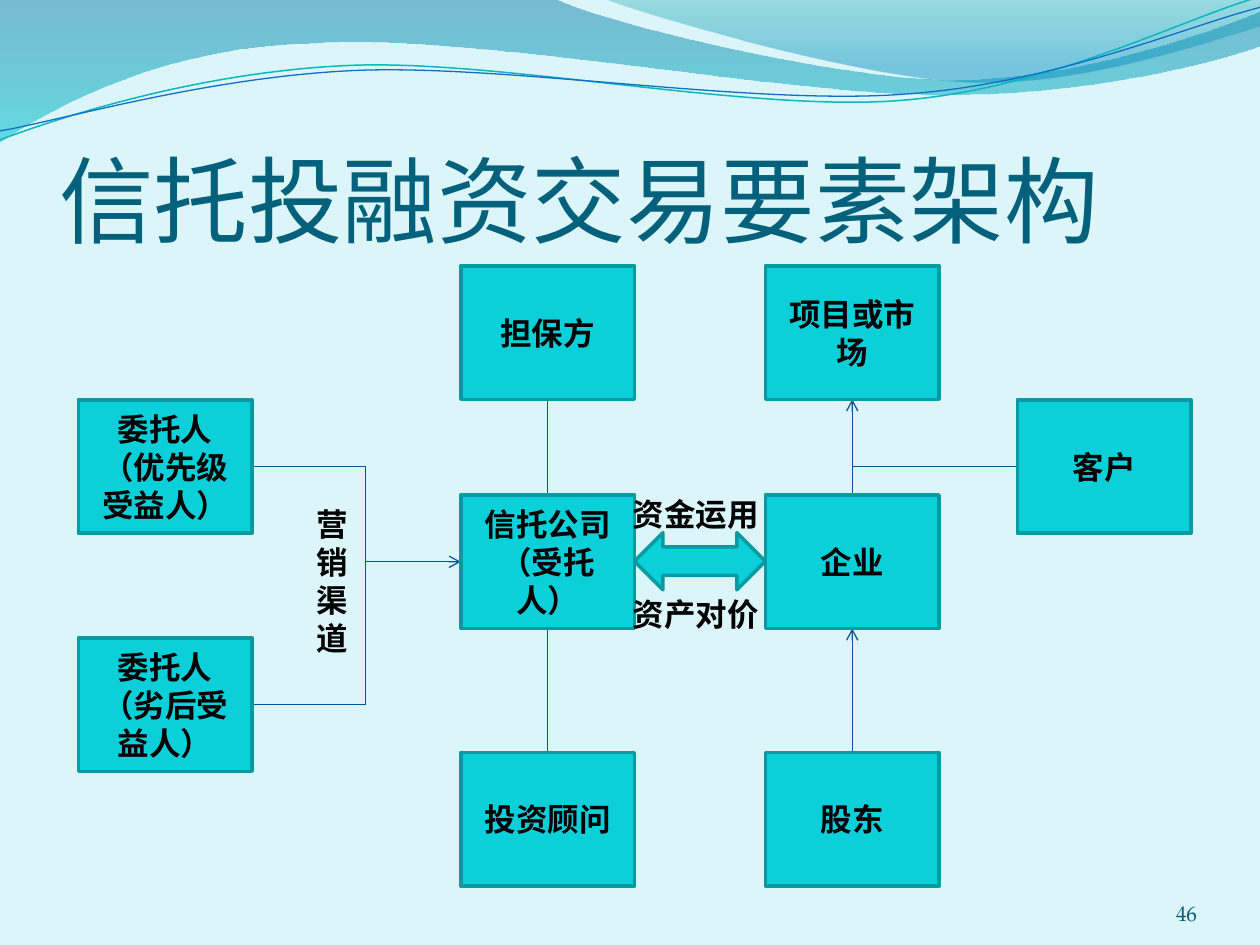
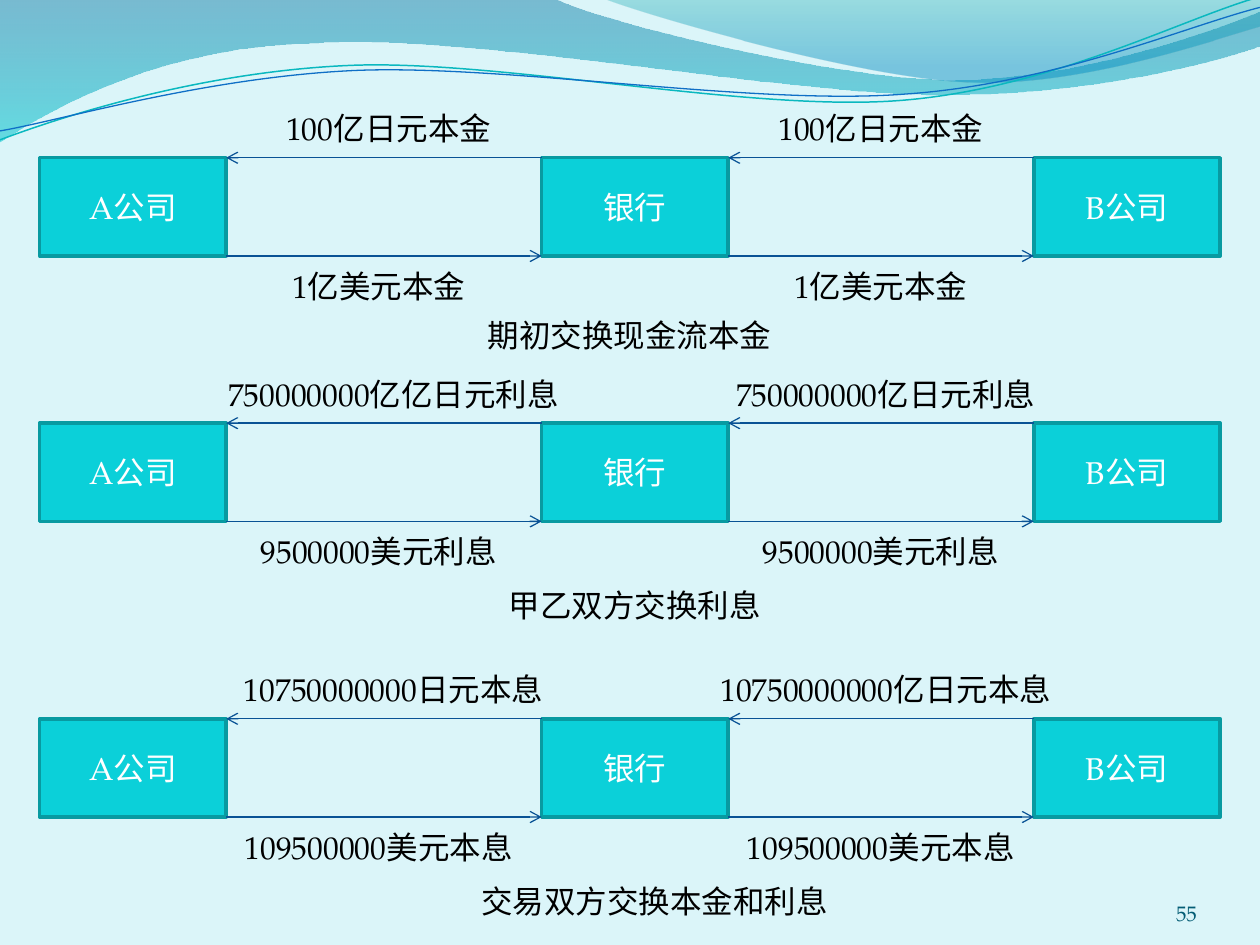
from dataclasses import dataclass
from typing import Optional

from lxml.etree import SubElement
from pptx import Presentation
from pptx.dml.color import RGBColor
from pptx.enum.lang import MSO_LANGUAGE_ID as Lang
from pptx.enum.shapes import MSO_CONNECTOR as Connector, MSO_SHAPE as Shape
from pptx.enum.text import MSO_ANCHOR as Anchor, PP_ALIGN as Align
from pptx.oxml.ns import qn
from pptx.util import Cm, Pt

COLORS = {
    "background": "DBF5F9",
    "title": "04617B",
    "page": "045D75",
    "box": "0BD0D9",
    "border": "089AA1",
    "link": "095295",
    "text": "000000",
    "white": "FFFFFF",
    "teal": "0AB8BF",
    "blue": "0F6FC6",
    "deep_blue": "0074A1",
    "aqua": "00C6CF",
    "deep_teal": "00A1A9",
    "sky": "008BBF",
}
BODY_FONT = "TeX Gyre Pagella"
CJK_FONT = "Noto Sans CJK SC"
DIAGRAM_TEXT = dict(font=CJK_FONT, bold=True, spacing=21.7)

Point = tuple[float, float]


@dataclass(frozen=True)
class Stop:
    position: float
    color: str
    opacity: int


@dataclass(frozen=True)
class Wave:
    start: Point
    segments: tuple[tuple[Point, ...], ...]
    stops: tuple[Stop, ...] = ()
    line_color: str = ""
    line_width: float = 0


@dataclass(frozen=True)
class Box:
    left: float
    top: float
    width: float
    height: float

    @property
    def right(self) -> float:
        return self.left + self.width

    @property
    def bottom(self) -> float:
        return self.top + self.height

    @property
    def mid_x(self) -> float:
        return self.left + self.width / 2

    @property
    def mid_y(self) -> float:
        return self.top + self.height / 2


@dataclass(frozen=True)
class Flow:
    received: str
    paid: str
    received_left: float
    received_width: float


@dataclass(frozen=True)
class Stage:
    top: float
    flows: tuple[Flow, Flow]
    caption: str
    caption_area: Box


WAVES = (
    Wave((0, 0), (
        ((11.18, -0.03),),
        ((12.09, 0.43), (16.87, 1.6), (19.25, 1.6)),
        ((21.67, 1.6), (24.33, 0.66), (25.4, 0.23)),
        ((25.43, 0.91),),
        ((24.97, 1.12), (22.1, 1.93), (18.95, 1.91)),
        ((15.8, 1.91), (9.7, 0.71), (6.53, 0.86)),
        ((3.28, 0.91), (1.17, 2.11), (-0.03, 2.87)),
        ((0, 0),),
    ), stops=(Stop(0, "deep_blue", 45), Stop(1, "aqua", 55))),
    Wave((12.17, -0.03), (
        ((12.93, 0.28), (17.32, 1.57), (19.53, 1.65)),
        ((21.74, 1.75), (24.41, 0.81), (25.4, 0.53)),
        ((25.4, 0),),
        ((12.17, -0.03),),
    ), stops=(Stop(0, "deep_teal", 30), Stop(0.8, "sky", 45))),
    Wave((0, 2.82), (
        ((1.22, 2.36), (4.01, 1.45), (7.04, 1.32)),
        ((10.03, 1.19), (15.06, 2.26), (18.11, 2.03)),
        ((21.16, 1.8), (23.83, 0.38), (25.35, -0.05)),
    ), line_color="teal", line_width=0.85),
    Wave((0, 2.64), (
        ((1.19, 2.44), (4.17, 1.55), (7.19, 1.42)),
        ((10.24, 1.3), (15.16, 2.13), (18.21, 1.9)),
        ((21.23, 1.7), (23.9, 0.53), (25.4, 0.15)),
    ), line_color="blue", line_width=0.75),
)

STAGES = (
    Stage(3.18, (Flow("100亿日元本金", "1亿美元本金", 4.76, 6.15),
                 Flow("100亿日元本金", "1亿美元本金", 14.68, 6.15)),
          "期初交换现金流本金", Box(7.54, 5.95, 10.31, 1.6)),
    Stage(8.53, (Flow("750000000亿亿日元利息", "9500000美元利息", 3.77, 8.33),
                 Flow("750000000亿日元利息", "9500000美元利息", 13.88, 7.95)),
          "甲乙双方交换利息", Box(9.13, 11.3, 7.34, 1.78)),
    Stage(14.49, (Flow("10750000000日元本息", "109500000美元本息", 3.77, 8.33),
                  Flow("10750000000亿日元本息", "109500000美元本息", 13.88, 7.95)),
          "交易双方交换本金和利息", Box(8.93, 17.27, 8.53, 1.78)),
)


def rgb(name: str) -> RGBColor:
    return RGBColor.from_string(COLORS[name])


def write(frame, text: str, *, size: float = 18, font: str = BODY_FONT,
          color: str = "text", bold: bool = False, align=Align.CENTER,
          anchor=Anchor.MIDDLE, spacing: Optional[float] = None) -> None:
    frame.word_wrap = True
    frame.vertical_anchor = anchor
    paragraph = frame.paragraphs[0]
    paragraph.alignment = align
    if spacing:
        paragraph.line_spacing = Pt(spacing)
    run = paragraph.add_run()
    run.text = text
    run.font.size, run.font.bold, run.font.name = Pt(size), bold, font
    run.font.color.rgb = rgb(color)
    run.font.language_id = Lang.SIMPLIFIED_CHINESE
    SubElement(run.font._element, qn("a:ea"), typeface=CJK_FONT)


def add_label(slide, area: Box, text: str, **text_format) -> None:
    frame = slide.shapes.add_textbox(
        Cm(area.left), Cm(area.top), Cm(area.width), Cm(area.height)).text_frame
    frame.margin_left = frame.margin_right = frame.margin_top = frame.margin_bottom = 0
    write(frame, text, **text_format)


def add_box(slide, area: Box, text: str = "", kind=Shape.RECTANGLE, **text_format) -> None:
    box = slide.shapes.add_shape(
        kind, Cm(area.left), Cm(area.top), Cm(area.width), Cm(area.height))
    box.shadow.inherit = False
    box.fill.solid()
    box.fill.fore_color.rgb = rgb("box")
    box.line.color.rgb = rgb("border")
    box.line.width = Pt(2)
    if text:
        write(box.text_frame, text, **text_format)


def add_link(slide, start: Point, end: Point, arrow: bool = False) -> None:
    link = slide.shapes.add_connector(
        Connector.STRAIGHT, *(Cm(value) for value in start + end))
    link.line.color.rgb = rgb("link")
    link.line.width = Pt(0.75)
    properties = link.element.spPr
    if arrow:
        SubElement(properties.find(qn("a:ln")), qn("a:tailEnd"), type="arrow")
    SubElement(properties, qn("a:effectLst"))


def bend(ribbon, wave: Wave) -> None:
    strokes = list(ribbon.element.spPr.iter(qn("a:lnTo")))
    for stroke, segment in zip(strokes, wave.segments):
        if len(segment) == 3:
            curve = stroke.makeelement(qn("a:cubicBezTo"))
            for x, y in segment:
                SubElement(curve, qn("a:pt"), x=str(Cm(x) - ribbon.left),
                           y=str(Cm(y) - ribbon.top))
            stroke.getparent().replace(stroke, curve)


def add_wave(slide, wave: Wave):
    ends = [(Cm(x), Cm(y)) for x, y in (segment[-1] for segment in wave.segments)]
    builder = slide.shapes.build_freeform(Cm(wave.start[0]), Cm(wave.start[1]))
    builder.add_line_segments(ends, close=bool(wave.stops))
    ribbon = builder.convert_to_shape()
    bend(ribbon, wave)
    ribbon.shadow.inherit = False
    if not wave.stops:
        ribbon.fill.background()
        ribbon.line.color.rgb = rgb(wave.line_color)
        ribbon.line.width = Pt(wave.line_width)
        return ribbon
    ribbon.line.fill.background()
    ribbon.fill.gradient()
    ribbon.fill.gradient_angle = 270
    for target, stop in zip(ribbon.fill.gradient_stops, wave.stops):
        target.position = stop.position
        target.color.rgb = rgb(stop.color)
    for shade, stop in zip(ribbon.element.spPr.iter(qn("a:srgbClr")), wave.stops):
        SubElement(shade, qn("a:alpha"), val=str(stop.opacity * 1000))
    return ribbon


def decorate_master(deck, slide) -> None:
    master = deck.slide_master
    master.background.fill.solid()
    master.background.fill.fore_color.rgb = rgb("background")
    for number, wave in enumerate(WAVES, start=101):
        ribbon = add_wave(slide, wave).element
        ribbon.nvSpPr.cNvPr.set("id", str(number))
        master.shapes.element.append(ribbon)


def add_page_number(slide, page: int) -> None:
    add_label(slide, Box(22.02, 17.65, 2.11, 1.02), str(page), size=12,
              color="page", align=Align.RIGHT, anchor=Anchor.BOTTOM)


def fill_structure(slide) -> None:
    add_label(slide, Box(1.2, 1.97, 22.86, 3.18), "信托投融资交易要素架构", size=54,
              font="Calibri", color="title", align=Align.LEFT, anchor=Anchor.BOTTOM)
    add_page_number(slide, 46)

    def party(left: float, top: float) -> Box:
        return Box(left, top, 3.5, 2.69)

    trust_x, company_x = 9.29, 15.43
    top_y, middle_y, bottom_y = 5.36, 9.98, 15.17
    senior, junior = party(1.58, 8.06), party(1.58, 12.86)
    guarantor, trust, adviser = (party(trust_x, y) for y in (top_y, middle_y, bottom_y))
    project, company, owner = (party(company_x, y) for y in (top_y, middle_y, bottom_y))
    client = party(20.51, 8.06)
    channel_x = 7.37

    for investor in (senior, junior):
        add_link(slide, (investor.right, investor.mid_y), (channel_x, investor.mid_y))
    add_link(slide, (channel_x, senior.mid_y), (channel_x, junior.mid_y))
    add_link(slide, (channel_x, trust.mid_y), (trust.left, trust.mid_y), arrow=True)
    for upper, lower in ((guarantor, trust), (trust, adviser)):
        add_link(slide, (upper.mid_x, upper.bottom), (lower.mid_x, lower.top))
    for lower, upper in ((company, project), (owner, company)):
        add_link(slide, (lower.mid_x, lower.top), (upper.mid_x, upper.bottom), arrow=True)
    add_link(slide, (company.mid_x, client.mid_y), (client.left, client.mid_y))

    add_box(slide, Box(trust.right, 10.74, company.left - trust.right, 1.15),
            kind=Shape.LEFT_RIGHT_ARROW)
    for area, name in (
        (guarantor, "担保方"), (project, "项目或市场"),
        (senior, "委托人（优先级受益人）"), (junior, "委托人（劣后受益人）"),
        (trust, "信托公司（受托人）"), (adviser, "投资顾问"),
        (owner, "股东"), (company, "企业"), (client, "客户"),
    ):
        add_box(slide, area, name, Shape.FLOWCHART_PROCESS, **DIAGRAM_TEXT)
    for area, name in (
        (Box(6.18, 10.17, 1.04, 3.07), "营销渠道"),
        (Box(12.28, 9.78, 3.5, 1.14), "资金运用"),
        (Box(12.45, 11.5, 3.15, 1.73), "资产对价"),
    ):
        add_label(slide, area, name, **DIAGRAM_TEXT)


def add_stage(slide, stage: Stage) -> None:
    parties = [Box(left, stage.top, 3.76, 1.98) for left in (0.8, 10.92, 20.84)]
    for area, name in zip(parties, ("A公司", "银行", "B公司")):
        add_box(slide, area, name, color="white")
    label_height = 1.19
    for left, right, flow in zip(parties, parties[1:], stage.flows):
        add_link(slide, (right.left, left.top), (left.right, left.top), arrow=True)
        add_link(slide, (left.right, left.bottom), (right.left, left.bottom), arrow=True)
        add_label(slide, Box(flow.received_left, left.top - label_height,
                             flow.received_width, label_height), flow.received)
        add_label(slide, Box(left.right, left.bottom, 6.15, label_height), flow.paid)
    add_label(slide, stage.caption_area, stage.caption)


def fill_swap(slide) -> None:
    add_page_number(slide, 55)
    for stage in STAGES:
        add_stage(slide, stage)


def main() -> None:
    deck = Presentation()
    deck.slide_width, deck.slide_height = Cm(25.4), Cm(19.05)
    blank = deck.slide_layouts[6]
    structure, swap = (deck.slides.add_slide(blank) for _ in range(2))
    decorate_master(deck, structure)
    fill_structure(structure)
    fill_swap(swap)
    deck.save("out.pptx")


if __name__ == "__main__":
    main()
